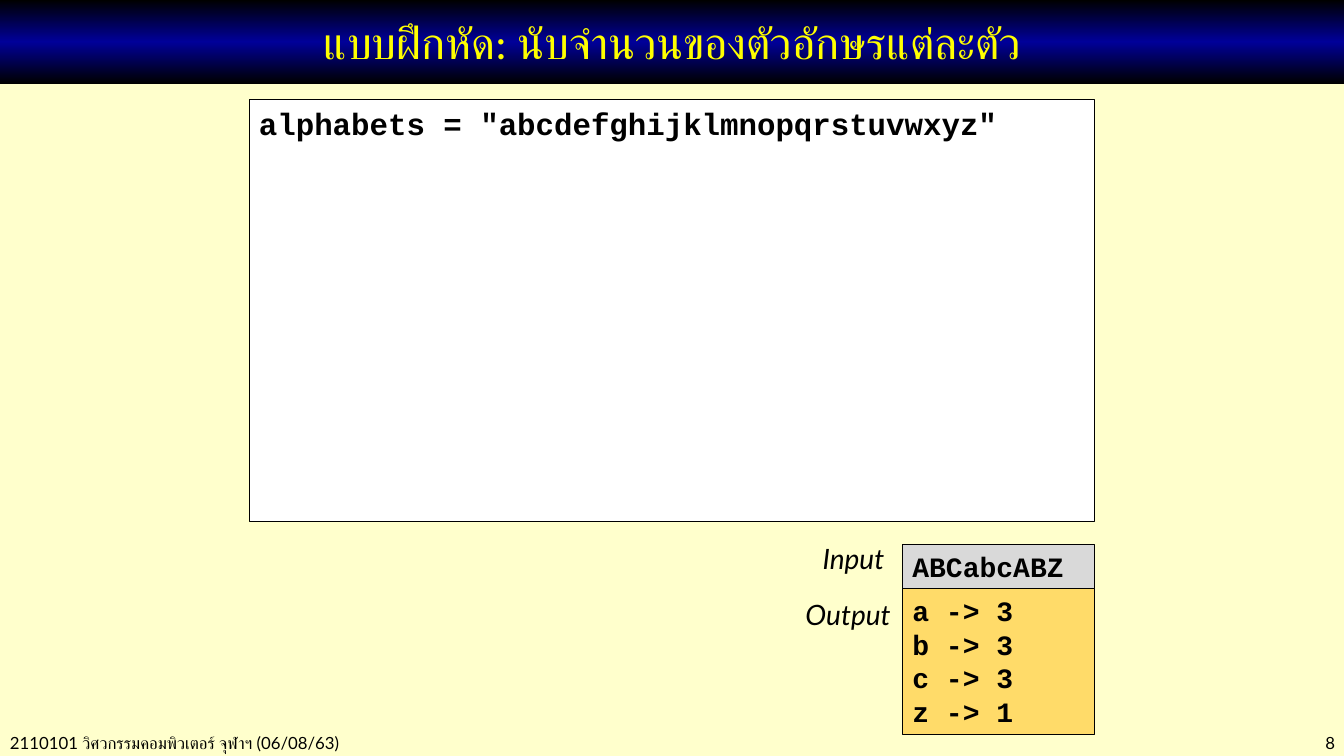
from copy import deepcopy
from dataclasses import dataclass

from pptx import Presentation
from pptx import util as u
from pptx.dml import color
from pptx.enum import shapes, text
from pptx.oxml import ns

BLACK = "000000"
LEFT, CENTER, RIGHT = text.PP_ALIGN.LEFT, text.PP_ALIGN.CENTER, text.PP_ALIGN.RIGHT


@dataclass
class Style:
    font: str
    size: float
    color: str = BLACK
    bold: bool = False
    italic: bool = False


@dataclass
class Box:
    left: float
    top: float
    width: float
    height: float
    text: str
    style: Style
    fill: str = ""
    align: text.PP_ALIGN = LEFT
    wrap: bool = True


TITLE = Style("Calibri", 32, "FFFF00")
CODE = Style("Courier New", 22, bold=True)
SAMPLE = Style("Courier New", 20, bold=True)
LABEL = Style("Lato", 20, italic=True)
FOOTER = Style("Lato", 12)

BOXES = [
    Box(0, 7.22, 5.2, 0.3, "2110101 วิศวกรรมคอมพิวเตอร์ จุฬาฯ (06/08/63)", FOOTER),
    Box(11.5, 7.22, 1.84, 0.3, "8", FOOTER, align=RIGHT),
    Box(2.47, 0.99, 8.39, 4.18, 'alphabets = "abcdefghijklmnopqrstuvwxyz"', CODE, "FFFFFF"),
    Box(8.95, 5.4, 1.91, 0.44, "ABCabcABZ", SAMPLE, "D9D9D9"),
    Box(8.95, 5.84, 1.91, 1.45, "a -> 3\nb -> 3\nc -> 3\nz -> 1", SAMPLE, "FFDB69"),
    Box(8.06, 5.32, 0.87, 0.44, "Input", LABEL, wrap=False),
    Box(7.89, 5.88, 1.06, 0.44, "Output", LABEL, wrap=False),
]


def rgb(value: str) -> color.RGBColor:
    return color.RGBColor.from_string(value)


def write(sp, content: str, style: Style, align, anchor, wrap: bool = True) -> None:
    tf = sp.text_frame
    tf.text = content
    tf.word_wrap = wrap
    tf.auto_size = text.MSO_AUTO_SIZE.NONE
    tf.vertical_anchor = anchor
    tf.margin_left = tf.margin_right = u.Inches(0.1)
    tf.margin_top = tf.margin_bottom = u.Inches(0.05)
    for p in tf.paragraphs:
        p.alignment = align
        for r in p.runs:
            r.font.name = style.font
            r.font.size = u.Pt(style.size)
            r.font.bold = style.bold
            r.font.italic = style.italic
            r.font.color.rgb = rgb(style.color)


def add_box(s, box: Box) -> None:
    place = [u.Inches(n) for n in (box.left, box.top, box.width, box.height)]
    if box.fill:
        sp = s.shapes.add_shape(shapes.MSO_SHAPE.RECTANGLE, *place)
        sp.shadow.inherit = False
        sp.fill.solid()
        sp.fill.fore_color.rgb = rgb(box.fill)
        sp.line.color.rgb = rgb(BLACK)
        sp.line.width = u.Pt(0.75)
    else:
        sp = s.shapes.add_textbox(*place)
    write(sp, box.text, box.style, box.align, text.MSO_ANCHOR.TOP, box.wrap)


def format_title(sp) -> None:
    sp.left, sp.top = u.Inches(0), u.Inches(0)
    sp.width, sp.height = u.Inches(13.34), u.Inches(0.83)
    sp.fill.gradient()
    sp.fill.gradient_angle = 90
    for stop in sp.fill.gradient_stops:
        stop.color.rgb = rgb(BLACK)
    stops = next(sp.element.iter(ns.qn("a:gsLst")))
    middle = deepcopy(stops[0])
    middle.set("pos", "50000")
    middle[0].set("val", "000099")
    stops.insert(1, middle)
    write(sp, "แบบฝึกหัด: นับจำนวนของตัวอักษรแต่ละตัว", TITLE, CENTER, text.MSO_ANCHOR.MIDDLE)


def main() -> None:
    prs = Presentation()
    prs.slide_width, prs.slide_height = u.Inches(13.33), u.Inches(7.5)
    s = prs.slides.add_slide(prs.slide_layouts[5])
    s.background.fill.solid()
    s.background.fill.fore_color.rgb = rgb("FFFFCC")
    format_title(s.shapes.title)
    for box in BOXES:
        add_box(s, box)
    prs.save("out.pptx")


if __name__ == "__main__":
    main()
